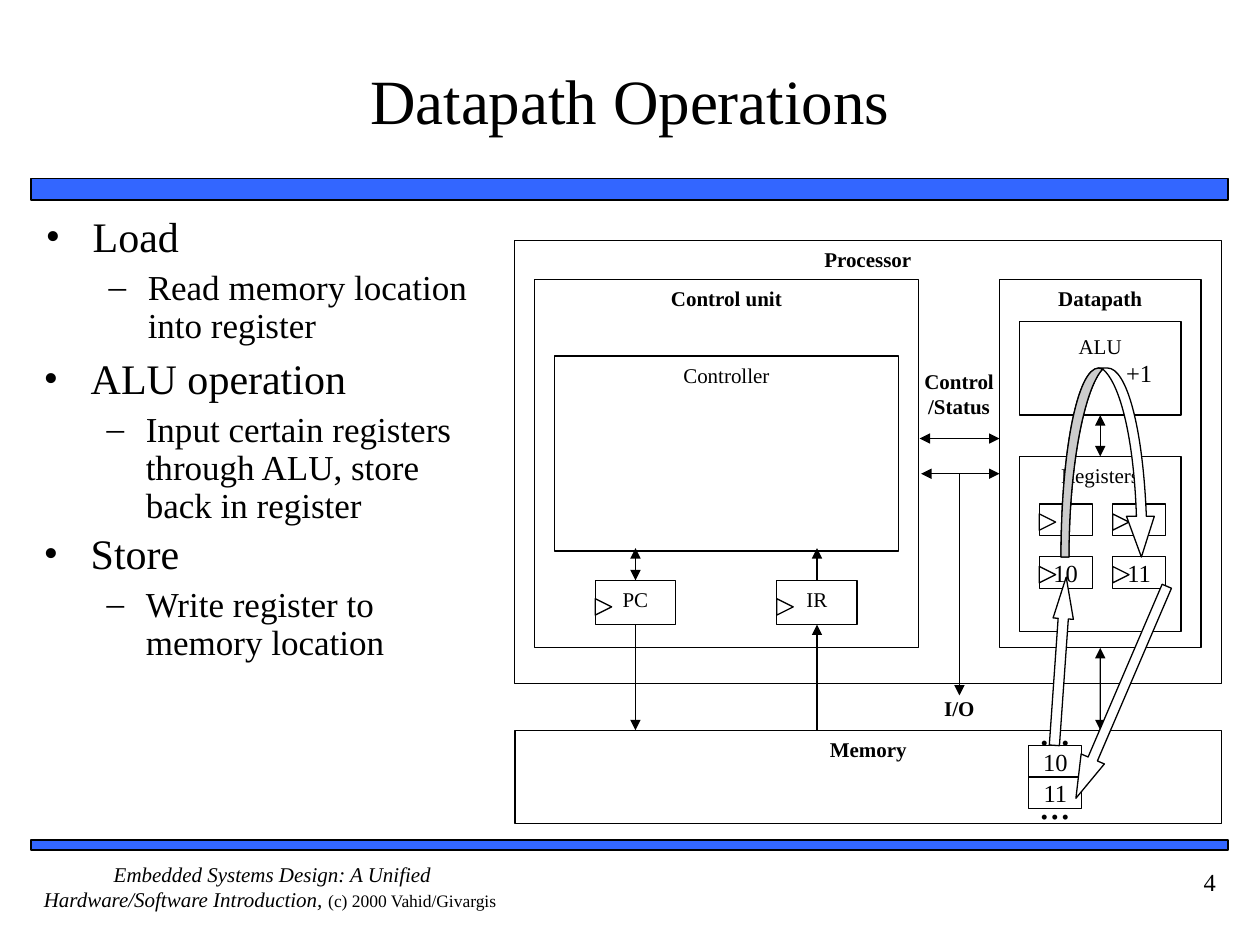
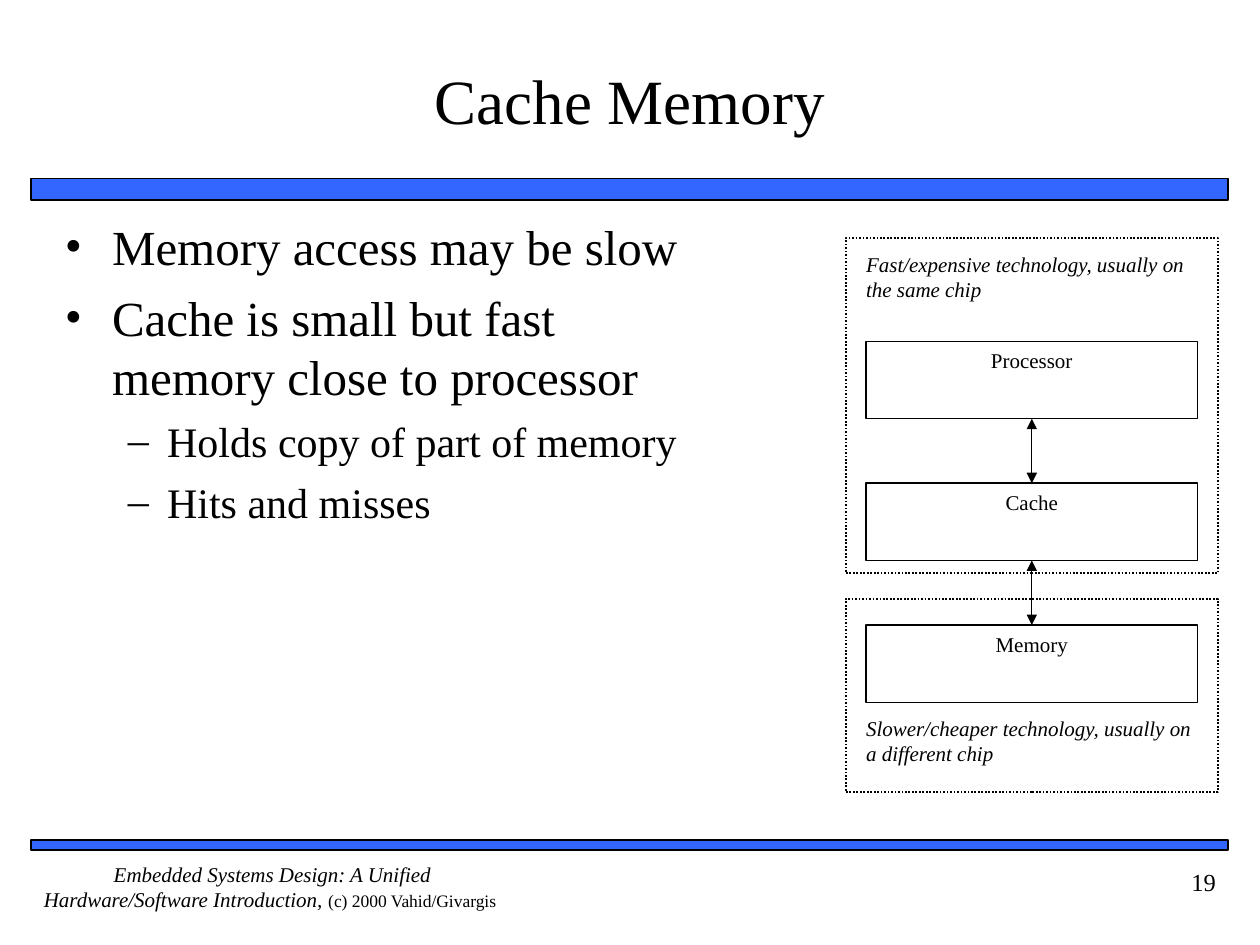
"""Build two lecture slides on datapath operations and cache memory."""
from dataclasses import dataclass

from lxml import etree
from pptx import Presentation
from pptx import util as u
from pptx.dml.color import RGBColor
from pptx.enum import dml, shapes, text
from pptx.oxml.ns import qn


@dataclass(frozen=True)
class Theme:
    font: str = "Times New Roman"
    ink: str = "000000"
    paper: str = "FFFFFF"
    band: str = "3366FF"
    title: int = 36
    label: int = 12
    credit: int = 10
    value: int = 14
    dots: int = 24
    thin: float = 0.75
    thick: float = 1


THEME = Theme()
KIND = shapes.MSO_SHAPE
ALIGN = text.PP_ALIGN
MIDDLE = text.MSO_ANCHOR.MIDDLE
TOP, BOTTOM = 0, 2
INSET = (0.25, 0.13, 0.25, 0.13)
FLUSH = (0, 0, 0, 0)

BANDS = [(0.63, 3.6, 24.13, 0.43), (0.63, 16.93, 24.13, 0.21)]
TITLE_AREA = (1.06, 0.42, 23.28, 3.17)
CREDIT_AREA = (0.63, 17.36, 9.73, 1.27)
NUMBER_AREA = (22.22, 17.35, 2.54, 1.27)
CREDIT = [
    ("Embedded Systems Design: A Unified Hardware/Software Introduction, ",
     {"italic": True}),
    ("(c) 2000 Vahid/Givargis", {"size": u.Pt(THEME.credit)}),
    (" ", {}),
]

BULLETS = [("•", 0.95, -0.95), ("–", 2.06, -0.79)]
DENSE = {"sizes": (24, 20), "before": (6, 5), "spacing": 0.9}
ROOMY = {"sizes": (28, 24), "before": (7, 6), "spacing": 1.0}

OPERATIONS = [
    ((0.67, 4.23, 9.42, 3.02),
     [(0, "Load"), (1, "Read memory location into register")]),
    ((0.63, 7.09, 9.42, 3.02),
     [(0, "ALU operation"),
      (1, "Input certain registers through ALU, store back in register")]),
    ((0.63, 10.62, 9.42, 3.02),
     [(0, "Store"), (1, "Write register to memory location")]),
]
UNITS = [
    ("Processor", (10.37, 4.85, 14.25, 8.93), True),
    ("Control unit", (10.77, 5.63, 7.75, 7.43), True),
    ("Datapath", (20.15, 5.63, 4.06, 7.43), True),
    ("ALU", (20.55, 6.48, 3.26, 1.89), False),
    ("Registers", (20.55, 9.2, 3.26, 3.53), False),
    ("IR", (15.66, 11.7, 1.62, 0.89), False),
    ("PC", (12, 11.7, 1.62, 0.89), False),
    ("Controller", (11.18, 7.18, 6.93, 3.93), False),
    ("Memory", (10.38, 14.72, 14.25, 1.88), True),
]
SIGNALS = [
    ("I/O", (18.73, 14.02, 1.22, 0.71)),
    ("Control\n/Status", (18.52, 7.43, 1.63, 1.42)),
]
WIRES = [
    (("IR", TOP), (16.47, 11.05), False),
    (("PC", TOP), (12.81, 11.05), True),
    (("PC", BOTTOM), (12.81, 14.72), False),
    ((16.47, 14.72), ("IR", BOTTOM), False),
    (("ALU", BOTTOM), ("Registers", TOP), True),
    (("Datapath", BOTTOM), (22.18, 14.72), True),
    ((18.54, 8.84), (20.15, 8.84), True),
    ((18.57, 9.55), (20.15, 9.55), True),
    ((19.34, 9.55), ("I/O", TOP), False),
]
CELL_SIZE = (1.07, 0.64)
REGISTER_COLUMNS = (20.95, 22.43)
REGISTER_ROWS = [(10.16, ("", "")), (11.22, ("10", "11"))]
MEMORY_CELLS = [(15.03, "10"), (15.66, "11")]
MEMORY_LEFT = 20.74
ELLIPSES = [(20.95, 14.18, 0.64, 1.02), (20.95, 15.67, 0.64, 1.02)]
CLOCK = 0.33
INCREMENT = ("+1", (22.43, 7.19, *CELL_SIZE))
TRANSFERS = [
    (KIND.UP_ARROW, (21.17, 11.63, 0.41, 3.4), 4, (0.5, 2.05)),
    (KIND.DOWN_ARROW, (22.35, 11.63, 0.51, 4.65), 23.2, (0.4, 1.69)),
]
RISE = [(21.39, 9.12), (21.72, 7.42), (22.15, 7.42)]
RETURN = [(21.87, 7.82), (21.55, 9.37), (21.55, 11.23)]
LOOP_START = (21.39, 11.23)
LOOP_OUTLINE = [
    RISE, [(22.33, 7.42)],
    [(22.71, 7.42), (23.04, 8.6), (23.11, 10.41)],
    [(23.27, 10.41)], [(23.01, 11.23)], [(22.71, 10.41)], [(22.91, 10.41)],
    [(22.86, 8.9), (22.6, 7.75), (22.23, 7.44)],
    RETURN,
]
LOOP_SHADE = [RISE, [(22.23, 7.44)], RETURN]

CACHE_AREA = (1.06, 4.23, 13.13, 12.5)
CACHE_POINTS = [
    (0, "Memory access may be slow"),
    (0, "Cache is small but fast memory close to processor"),
    (1, "Holds copy of part of memory"),
    (1, "Hits and misses"),
]
CHIPS = [(17.05, 12.07, 7.5, 3.9), (17.05, 4.8, 7.5, 6.76)]
LEVELS = ["Processor", "Cache", "Memory"]
LEVEL_LEFT, LEVEL_TOP, LEVEL_PITCH = 17.46, 6.88, 2.86
LEVEL_SIZE = (6.68, 1.56)
CHIP_NOTES = [
    (5.07, "Fast/expensive technology, usually on the same chip"),
    (14.43, "Slower/cheaper technology, usually on a different chip"),
]


def assign(target, values):
    for key, value in values.items():
        setattr(target, key, value)


def cm(lengths):
    return [u.Cm(length) for length in lengths]


def add_run(paragraph, wording, size=THEME.label, **extra):
    run = paragraph.add_run()
    run.text = wording
    assign(run.font, {"name": THEME.font, "size": u.Pt(size), **extra})
    run.font.color.rgb = RGBColor.from_string(THEME.ink)


def set_frame(part, inset=INSET, anchor=text.MSO_ANCHOR.TOP, wrap=True):
    frame = part.text_frame
    sides = ("margin_left", "margin_top", "margin_right", "margin_bottom")
    assign(frame, {**dict(zip(sides, cm(inset))),
                   "vertical_anchor": anchor, "word_wrap": wrap})
    return frame


def write(part, wording, align=ALIGN.CENTER, frame=None, **font):
    body = set_frame(part, **(frame or {}))
    for index, line in enumerate(wording.split("\n")):
        paragraph = body.add_paragraph() if index else body.paragraphs[0]
        paragraph.alignment = align
        add_run(paragraph, line, **font)


def add_label(slide, area, wording, **style):
    label = slide.shapes.add_textbox(*cm(area))
    write(label, wording, **style)
    return label


def paint(part, fill=None, width=THEME.thin):
    part.shadow.inherit = False
    if fill:
        part.fill.solid()
        part.fill.fore_color.rgb = RGBColor.from_string(fill)
    else:
        part.fill.background()
    part.line.color.rgb = RGBColor.from_string(THEME.ink)
    part.line.width = u.Pt(width)
    return part


def add_block(slide, area, kind=KIND.RECTANGLE, **look):
    return paint(slide.shapes.add_shape(kind, *cm(area)), **look)


def add_wire(slide, start, end, both, parts):
    ends = [point if point[0] not in parts else (0, 0) for point in (start, end)]
    wire = slide.shapes.add_connector(
        shapes.MSO_CONNECTOR.STRAIGHT, *cm([*ends[0], *ends[1]]))
    for join, point in ((wire.begin_connect, start), (wire.end_connect, end)):
        if point[0] in parts:
            join(parts[point[0]], point[1])
    wire.line.color.rgb = RGBColor.from_string(THEME.ink)
    wire.line.width = u.Pt(THEME.thin)
    outline = wire.line._get_or_add_ln()
    for tag in ("a:headEnd", "a:tailEnd") if both else ("a:tailEnd",):
        etree.SubElement(outline, qn(tag), type="triangle")
    etree.SubElement(wire._element.spPr, qn("a:effectLst"))


def add_bullets(slide, area, points, sizes, before, spacing):
    body = set_frame(slide.shapes.add_textbox(*cm(area)))
    for index, (level, wording) in enumerate(points):
        paragraph = body.add_paragraph() if index else body.paragraphs[0]
        assign(paragraph, {"level": level, "line_spacing": spacing,
                           "space_before": u.Pt(before[level])})
        mark, left, hang = BULLETS[level]
        properties = paragraph._p.get_or_add_pPr()
        properties.set("marL", str(u.Cm(left)))
        properties.set("indent", str(u.Cm(hang)))
        etree.SubElement(properties, qn("a:buFont"), typeface=THEME.font)
        etree.SubElement(properties, qn("a:buChar"), char=mark)
        add_run(paragraph, wording, sizes[level])


def add_clock(slide, left, top):
    add_block(slide, (left, top, CLOCK, CLOCK),
              KIND.ISOSCELES_TRIANGLE).rotation = 90


def add_cell(slide, left, top, wording):
    cell = add_block(slide, (left, top, *CELL_SIZE))
    if wording:
        write(cell, wording, size=THEME.value,
              frame={"inset": FLUSH, "anchor": MIDDLE, "wrap": False})


def bend(lines, segments):
    lines = iter(lines)
    for segment in segments:
        steps = [next(lines) for _ in segment]
        if len(steps) == 3:
            curve = etree.Element(qn("a:cubicBezTo"))
            steps[0].addprevious(curve)
            for step in steps:
                curve.append(step[0])
                step.getparent().remove(step)


def add_loop(slide):
    builder = slide.shapes.build_freeform(*cm(LOOP_START))
    contours = (LOOP_OUTLINE, LOOP_SHADE)
    for index, segments in enumerate(contours):
        if index:
            builder.move_to(*cm(LOOP_START))
        builder.add_line_segments(
            [cm(point) for segment in segments for point in segment], close=True)
    loop = paint(builder.convert_to_shape(), THEME.paper)
    outline = loop._element.find(".//" + qn("a:path"))
    shade = etree.SubElement(outline.getparent(), qn("a:path"),
                             {**outline.attrib, "fill": "darkenLess"})
    second = outline.findall(qn("a:moveTo"))[1]
    for step in [second, *second.itersiblings()]:
        shade.append(step)
    for contour, segments in zip((outline, shade), contours):
        bend(contour.findall(qn("a:lnTo")), segments)


def add_page(deck, title, number):
    slide = deck.slides.add_slide(deck.slide_layouts[6])
    for area in BANDS:
        add_block(slide, area, fill=THEME.band, width=THEME.thick)
    credit = set_frame(slide.shapes.add_textbox(*cm(CREDIT_AREA)), FLUSH)
    credit.paragraphs[0].alignment = ALIGN.CENTER
    for wording, font in CREDIT:
        add_run(credit.paragraphs[0], wording)
        assign(credit.paragraphs[0].runs[-1].font, font)
    add_label(slide, TITLE_AREA, title, size=THEME.title,
              frame={"inset": (0, 0.13, 0, 0.13), "anchor": MIDDLE})
    add_label(slide, NUMBER_AREA, number, align=ALIGN.RIGHT, size=THEME.value)
    return slide


def build_datapath(deck):
    slide = add_page(deck, "Datapath Operations", "4")
    for area, points in OPERATIONS:
        add_bullets(slide, area, points, **DENSE)
    parts = {}
    for name, area, bold in UNITS:
        parts[name] = add_block(slide, area, fill=THEME.paper)
        inset = (0.25, 0.25, 0.25, 0.13) if name == "ALU" else INSET
        write(parts[name], name, bold=bold, frame={"inset": inset})
        if name in ("PC", "IR"):
            add_clock(slide, area[0], area[1] + 0.37)
    for name, area in SIGNALS:
        parts[name] = add_label(slide, area, name, bold=True, frame={"inset": FLUSH})
    for start, end, both in WIRES:
        add_wire(slide, start, end, both, parts)
    for top, values in REGISTER_ROWS:
        for left, value in zip(REGISTER_COLUMNS, values):
            add_cell(slide, left, top, value)
            add_clock(slide, left, top + 0.2)
    for top, value in MEMORY_CELLS:
        add_cell(slide, MEMORY_LEFT, top, value)
    for area in ELLIPSES:
        add_label(slide, area, "...", align=ALIGN.LEFT, size=THEME.dots,
                  frame={"inset": FLUSH, "wrap": False})
    add_loop(slide)
    add_label(slide, INCREMENT[1], INCREMENT[0], size=THEME.value,
              frame={"inset": FLUSH, "anchor": MIDDLE, "wrap": False})
    for kind, area, turn, proportions in TRANSFERS:
        transfer = add_block(slide, area, kind, fill=THEME.paper)
        transfer.rotation = turn
        for index, proportion in enumerate(proportions):
            transfer.adjustments[index] = proportion


def build_cache(deck):
    slide = add_page(deck, "Cache Memory", "19")
    add_bullets(slide, CACHE_AREA, CACHE_POINTS, **ROOMY)
    for area in CHIPS:
        chip = add_block(slide, area, fill=THEME.paper, width=THEME.thick)
        chip.line.dash_style = dml.MSO_LINE.ROUND_DOT
    parts = {}
    for index, name in enumerate(LEVELS):
        top = LEVEL_TOP + index * LEVEL_PITCH
        parts[name] = add_block(slide, (LEVEL_LEFT, top, *LEVEL_SIZE), fill=THEME.paper)
        write(parts[name], name)
    for upper, lower in zip(LEVELS, LEVELS[1:]):
        add_wire(slide, (upper, BOTTOM), (lower, TOP), True, parts)
    for top, note in CHIP_NOTES:
        add_label(slide, (LEVEL_LEFT, top, *LEVEL_SIZE), note, align=ALIGN.LEFT,
                  italic=True, frame={"inset": FLUSH})


def main():
    deck = Presentation()
    assign(deck, {"slide_width": u.Cm(25.4), "slide_height": u.Cm(19.05)})
    build_datapath(deck)
    build_cache(deck)
    deck.save("out.pptx")


if __name__ == "__main__":
    main()
